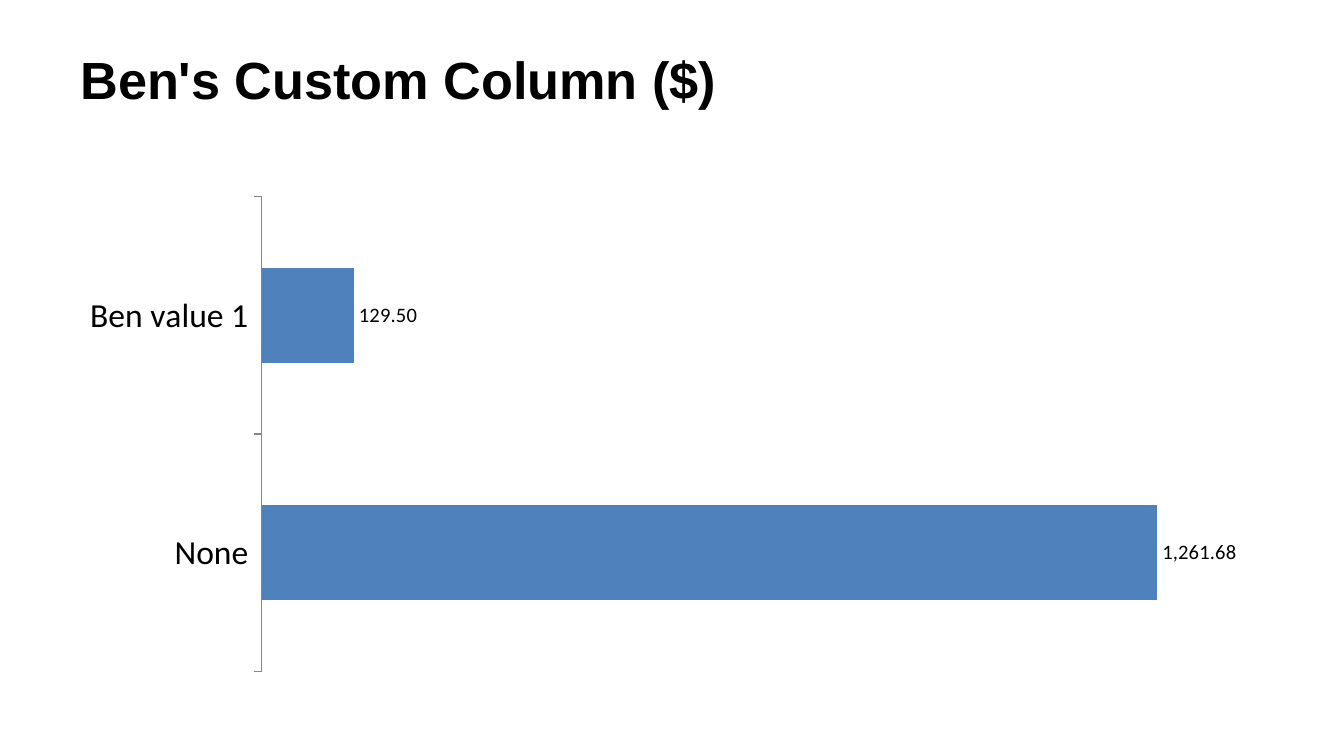
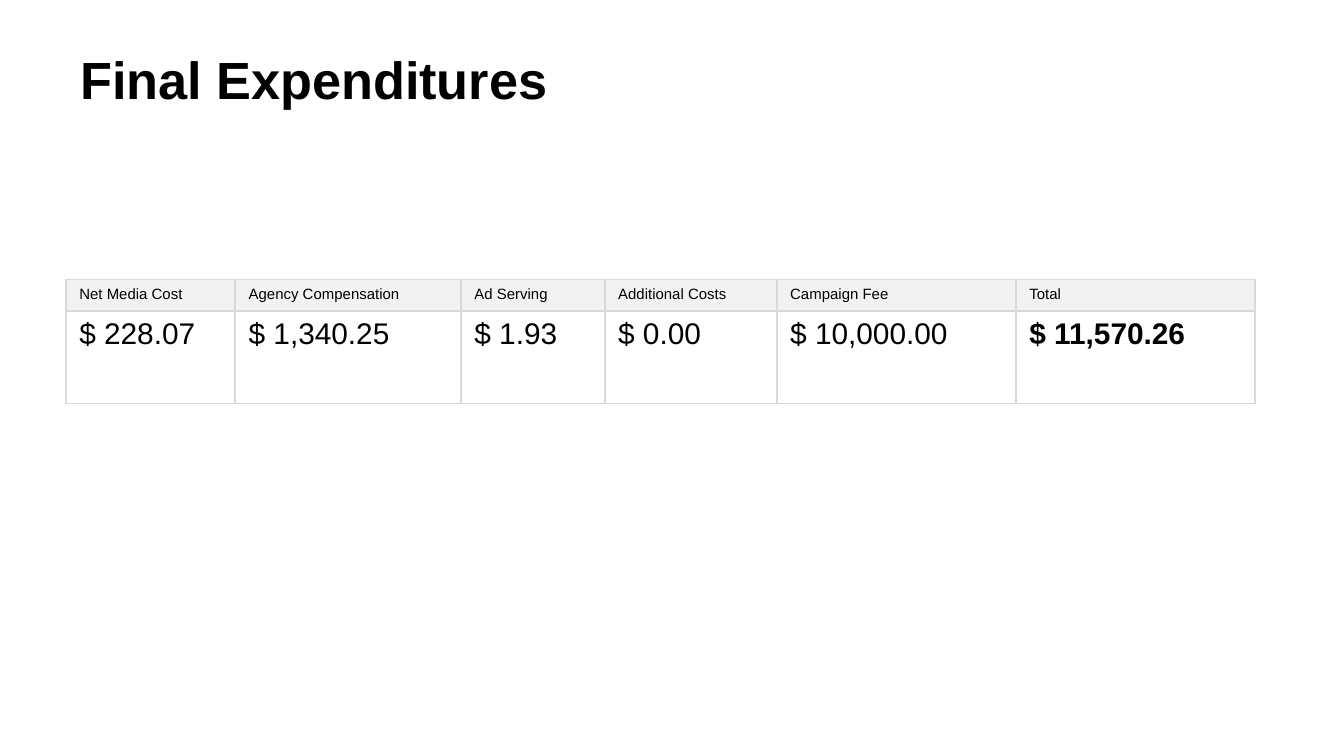
from dataclasses import dataclass

from lxml.etree import SubElement
from pptx import Presentation
from pptx.chart.data import CategoryChartData
from pptx.dml.color import RGBColor
from pptx.enum.chart import XL_CHART_TYPE, XL_LABEL_POSITION, XL_TICK_LABEL_POSITION, XL_TICK_MARK
from pptx.enum.text import MSO_ANCHOR
from pptx.oxml.ns import qn
from pptx.util import Inches, Pt

CHART_TITLE = "Ben's Custom Column ($)"
CHART_VALUES = {"Ben value 1": 129.5, "None": 1261.68}

TABLE_TITLE = "Final Expenditures"
EXPENDITURES = [
    ("Net Media Cost", "$ 228.07", 1.26),
    ("Agency Compensation", "$ 1,340.25", 1.68),
    ("Ad Serving", "$ 1.93", 1.07),
    ("Additional Costs", "$ 0.00", 1.28),
    ("Campaign Fee", "$ 10,000.00", 1.78),
    ("Total", "$ 11,570.26", 1.78),
]
ROW_HEIGHTS = (0.18, 0.69)


@dataclass(frozen=True)
class Theme:
    font: str = "Arial"
    chart_font: str = "Calibri"
    text: RGBColor = RGBColor(0x00, 0x00, 0x00)
    bar: RGBColor = RGBColor(0x4F, 0x81, 0xBD)
    axis: RGBColor = RGBColor(0x86, 0x86, 0x86)
    header: RGBColor = RGBColor(0xF2, 0xF2, 0xF2)
    border: str = "D9D9D9"
    title_size: int = 28
    category_size: int = 18
    label_size: int = 11
    header_size: int = 8
    amount_size: int = 16


THEME = Theme()


def style_font(font, size, name=THEME.font, bold=False):
    font.name = name
    font.size = Pt(size)
    font.bold = bold
    font.color.rgb = THEME.text


def add_titled_slide(prs, title):
    s = prs.slides.add_slide(prs.slide_layouts[6])
    tf = s.shapes.add_textbox(Inches(0.5), Inches(0.3), Inches(9), Inches(1.09)).text_frame
    tf.word_wrap = True
    tf.vertical_anchor = MSO_ANCHOR.TOP
    tf.text = title
    style_font(tf.paragraphs[0].runs[0].font, THEME.title_size, bold=True)
    return s


def add_bar_chart(s):
    data = CategoryChartData(number_format="#,##0.00")
    data.categories = list(CHART_VALUES)
    data.add_series("Series 1", list(CHART_VALUES.values()))
    chart = s.shapes.add_chart(
        XL_CHART_TYPE.BAR_CLUSTERED,
        Inches(0.49), Inches(1.39), Inches(9.03), Inches(3.68), data,
    ).chart
    chart.has_legend = False
    chart.has_title = False
    style_font(chart.font, THEME.category_size, THEME.chart_font)

    categories = chart.category_axis
    categories.reverse_order = True
    categories.has_major_gridlines = False
    categories.major_tick_mark = XL_TICK_MARK.OUTSIDE
    categories.tick_label_position = XL_TICK_LABEL_POSITION.NEXT_TO_AXIS
    categories.format.line.color.rgb = THEME.axis
    chart.value_axis.has_major_gridlines = False
    chart.value_axis.visible = False

    plot = chart.plots[0]
    plot.gap_width = 150
    plot.vary_by_categories = False
    fill = plot.series[0].format.fill
    fill.solid()
    fill.fore_color.rgb = THEME.bar

    plot.has_data_labels = True
    labels = plot.data_labels
    labels.show_value = True
    labels.number_format = "#,##0.00"
    labels.number_format_is_linked = False
    labels.position = XL_LABEL_POSITION.OUTSIDE_END
    style_font(labels.font, THEME.label_size, THEME.chart_font)


def add_borders(cell):
    tc_pr = cell._tc.get_or_add_tcPr()
    for side in ("a:lnL", "a:lnR", "a:lnT", "a:lnB"):
        ln = SubElement(tc_pr, qn(side), w=str(Pt(1)))
        SubElement(SubElement(ln, qn("a:solidFill")), qn("a:srgbClr"), val=THEME.border)


def fill_cell(cell, text, is_header, bold):
    add_borders(cell)
    if is_header:
        cell.fill.solid()
        cell.fill.fore_color.rgb = THEME.header
    else:
        cell.fill.background()
    cell.text_frame.text = text
    size = THEME.header_size if is_header else THEME.amount_size
    style_font(cell.text_frame.paragraphs[0].runs[0].font, size, bold=bold)


def add_expenditure_table(s):
    widths = [width for _, _, width in EXPENDITURES]
    table = s.shapes.add_table(
        len(ROW_HEIGHTS), len(EXPENDITURES),
        Inches(0.49), Inches(2.08), Inches(sum(widths)), Inches(sum(ROW_HEIGHTS)),
    ).table
    table.first_row = False
    table.horz_banding = False
    for row, height in zip(table.rows, ROW_HEIGHTS):
        row.height = Inches(height)
    for col, (name, amount, width) in enumerate(EXPENDITURES):
        table.columns[col].width = Inches(width)
        fill_cell(table.cell(0, col), name, True, False)
        fill_cell(table.cell(1, col), amount, False, name == "Total")


def main():
    prs = Presentation()
    prs.slide_width = Inches(10)
    prs.slide_height = prs.slide_width * 9 // 16
    add_bar_chart(add_titled_slide(prs, CHART_TITLE))
    add_expenditure_table(add_titled_slide(prs, TABLE_TITLE))
    prs.save("out.pptx")


if __name__ == "__main__":
    main()
